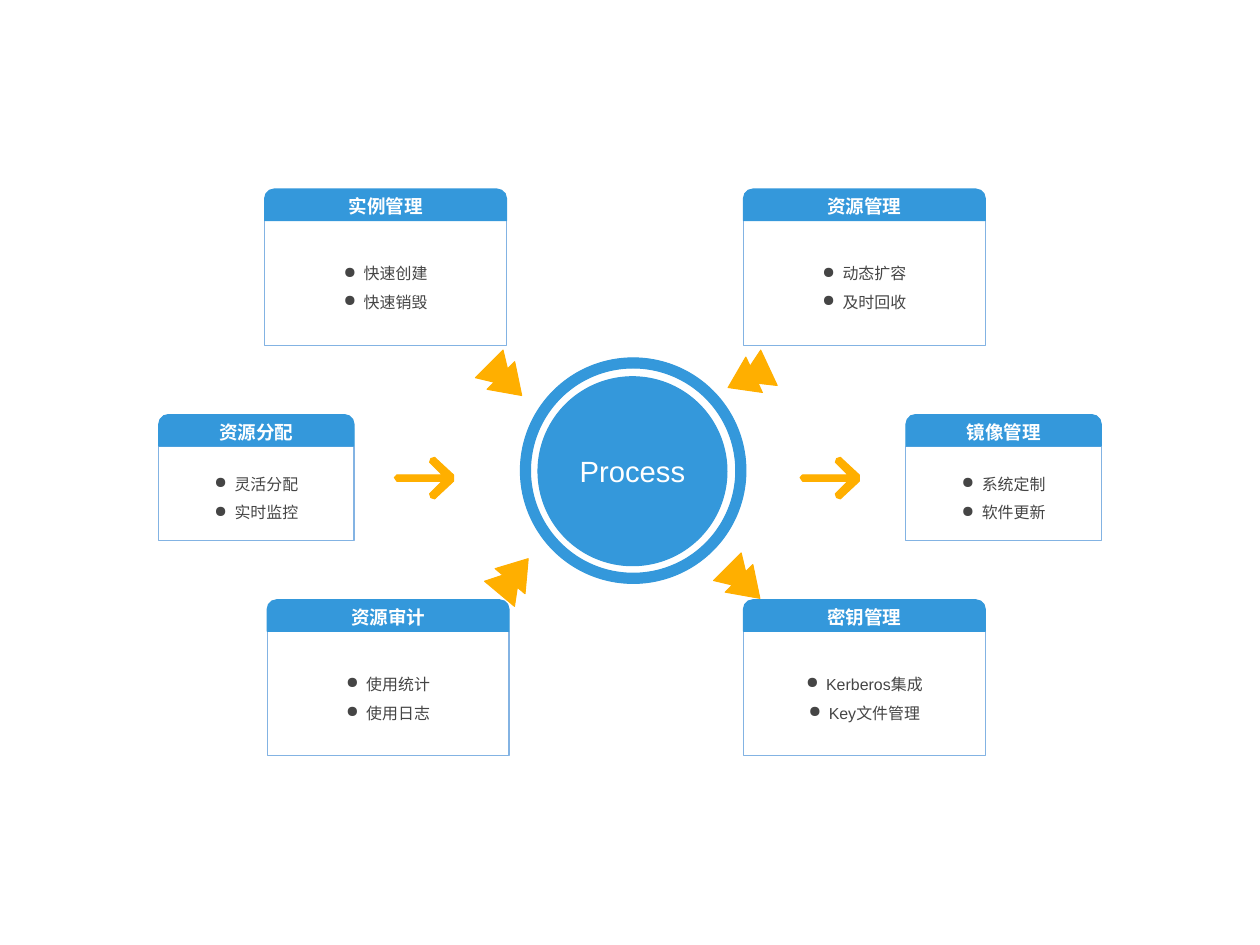
import pptx
import pptx.util
import pptx.dml.color
import pptx.enum.shapes
import pptx.enum.text
import lxml.etree
from dataclasses import dataclass

Inches = pptx.util.Inches
Pt = pptx.util.Pt
Kind = pptx.enum.shapes.MSO_SHAPE


@dataclass
class Theme:
    blue: str = "3498DB"
    edge: str = "83B3E3"
    gold: str = "FFAF00"
    white: str = "FFFFFF"
    ink: str = "454545"
    font: str = "Arial"
    hub: float = 16.7
    head: float = 10.6
    body: float = 9.1
    line: float = 0.6


theme = Theme()


def paint(shape, fill, line):
    shape.shadow.inherit = False
    shape.fill.solid()
    shape.fill.fore_color.rgb = pptx.dml.color.RGBColor.from_string(fill)
    shape.line.color.rgb = pptx.dml.color.RGBColor.from_string(line)
    shape.line.width = Pt(theme.line)


def write(shape, text, size, color, bold=False, pad=0.04):
    frame = shape.text_frame
    frame.text = text
    frame.word_wrap = True
    frame.vertical_anchor = pptx.enum.text.MSO_ANCHOR.MIDDLE
    frame.margin_left = frame.margin_right = Inches(pad)
    frame.margin_top = frame.margin_bottom = 0
    for para in frame.paragraphs:
        para.alignment = pptx.enum.text.PP_ALIGN.CENTER
        for run in para.runs:
            run.font.name = theme.font
            run.font.size = Pt(size)
            run.font.bold = bold
            run.font.color.rgb = pptx.dml.color.RGBColor.from_string(color)


deck = pptx.Presentation()
deck.slide_width = Inches(10)
deck.slide_height = Inches(7.5)
slide = deck.slides.add_slide(deck.slide_layouts[6])
shapes = slide.shapes

ring = shapes.add_shape(Kind.DONUT, Inches(4.13), Inches(2.84), Inches(1.79), Inches(1.79))
ring.adjustments[0] = 0.045
paint(ring, theme.blue, theme.blue)

hub = shapes.add_shape(Kind.OVAL, Inches(4.27), Inches(2.99), Inches(1.5), Inches(1.5))
paint(hub, theme.blue, theme.blue)
write(hub, "Process", theme.hub, theme.white, pad=0)

big = (1.92, 0.99)
small = (1.55, 0.75)
cards = [
    (2.1, 1.5, big, "实例管理", "快速创建\n快速销毁"),
    (5.9, 1.5, big, "资源管理", "动态扩容\n及时回收"),
    (2.12, 4.76, big, "资源审计", "使用统计\n使用日志"),
    (5.9, 4.76, big, "密钥管理", "Kerberos集成\nKey文件管理"),
    (1.26, 3.29, small, "资源分配", "灵活分配\n实时监控"),
    (7.19, 3.29, small, "镜像管理", "系统定制\n软件更新"),
]
bar = 0.25
for left, top, (wide, high), title, items in cards:
    body = shapes.add_shape(
        Kind.RECTANGLE, Inches(left), Inches(top + bar), Inches(wide), Inches(high))
    paint(body, theme.white, theme.edge)
    write(body, items, theme.body, theme.ink)
    for para in body.text_frame.paragraphs:
        para.line_spacing = 1.5
        props = para._p.get_or_add_pPr()
        props.set("marL", str(Inches(0.16)))
        props.set("indent", str(Inches(-0.16)))
        mark = lxml.etree.SubElement(props, pptx.oxml.ns.qn("a:buChar"))
        mark.set("char", "●")

    head = shapes.add_shape(
        Kind.ROUND_2_SAME_RECTANGLE, Inches(left), Inches(top), Inches(wide), Inches(bar))
    head.adjustments[0] = 0.3
    paint(head, theme.blue, theme.blue)
    write(head, title, theme.head, theme.white, bold=True)

arrow = [(0, 16), (2, 14), (38, 14), (28, 4), (29, 1), (32, 0), (47, 14),
         (47, 19), (32, 33), (29, 32), (28, 29), (38, 19), (2, 19)]
twin = [(0, 16), (23, 31), (23, 23), (36, 31), (36, 0), (23, 8), (23, 0)]
marks = [
    (arrow, 3.13, 3.63, 0),
    (arrow, 6.35, 3.63, 0),
    (twin, 3.83, 2.86, 225),
    (twin, 3.9, 4.42, 130),
    (twin, 5.72, 4.47, 225),
    (twin, 5.76, 2.84, 335),
]
for points, left, top, turn in marks:
    pen = shapes.build_freeform(*points[0], scale=Inches(0.01))
    pen.add_line_segments(points[1:], close=True)
    mark = pen.convert_to_shape(Inches(left), Inches(top))
    mark.rotation = turn
    paint(mark, theme.gold, theme.gold)

deck.save("out.pptx")
